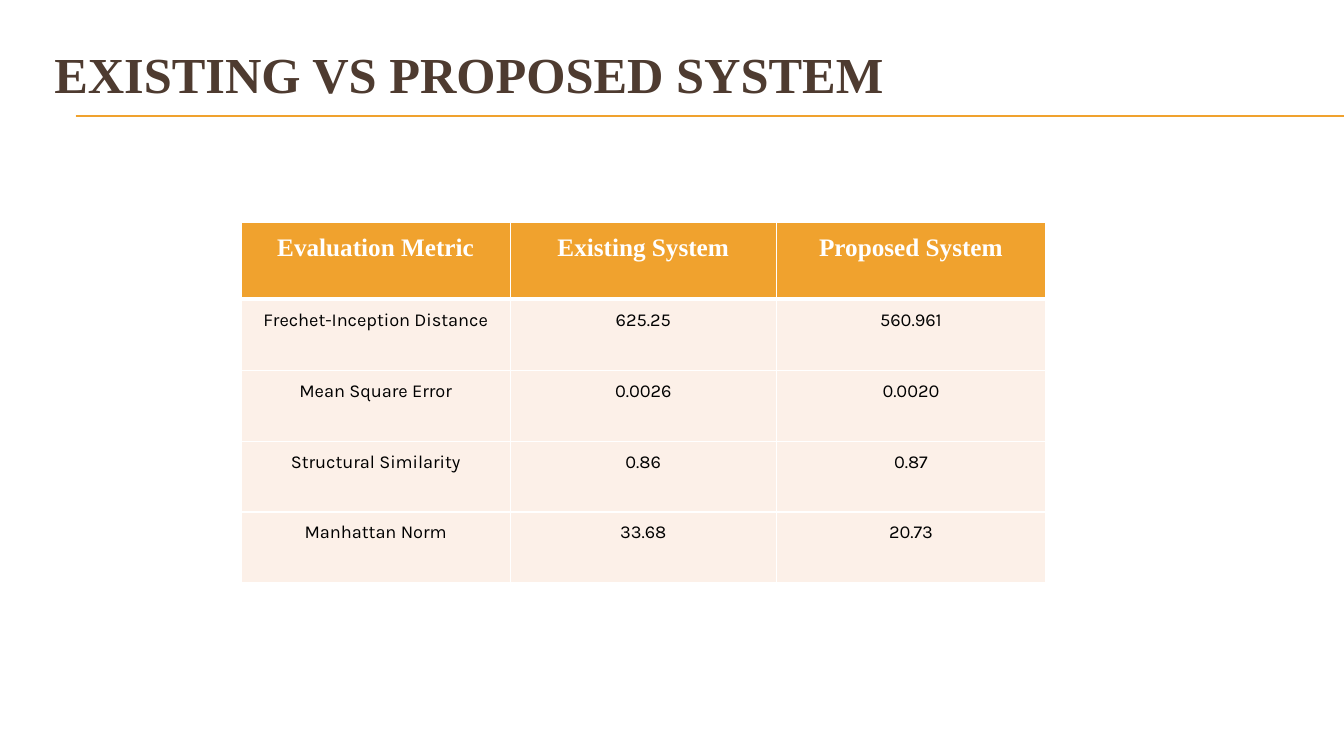
from dataclasses import dataclass

from lxml.etree import SubElement as add_element
from pptx import Presentation
from pptx.dml.color import RGBColor as Color
from pptx.enum.shapes import MSO_CONNECTOR as Connector
from pptx.enum.text import MSO_ANCHOR as Anchor, PP_ALIGN as Align
from pptx.oxml import parse_xml
from pptx.oxml.ns import nsdecls, qn
from pptx.util import Inches, Pt


@dataclass(frozen=True)
class Theme:
    accent: str = "F0A22E"
    title: str = "4E3B30"
    body: str = "000000"
    band: str = "FCF0E8"
    white: str = "FFFFFF"
    heading_font: str = "Times New Roman"
    body_font: str = "Karla"
    title_size: float = 36
    header_size: float = 18
    body_size: float = 13
    rule_width: float = 0.75
    grid_width: float = 1
    header_rule_width: float = 3


def apply_format(target, values):
    for name, value in values.items():
        setattr(target, name, value)


class SlideBuilder:
    def __init__(self, slide, theme):
        self.slide = slide
        self.theme = theme

    def text(self, paragraph, text, size, font, color, bold):
        paragraph.text = text
        run_font = paragraph.runs[0].font
        apply_format(run_font, {"size": Pt(size), "name": font, "bold": bold})
        run_font.color.rgb = Color.from_string(color)

    def rule(self, left, right, top):
        line = self.slide.shapes.add_connector(
            Connector.STRAIGHT, Inches(left), Inches(top), Inches(right), Inches(top)
        )
        line.line.width = Pt(self.theme.rule_width)
        line.line.color.rgb = Color.from_string(self.theme.accent)
        add_element(line._element.spPr, qn("a:effectLst"))

    def title(self, text, left, top, width, height):
        box = self.slide.shapes.add_textbox(
            Inches(left), Inches(top), Inches(width), Inches(height)
        )
        frame = box.text_frame
        apply_format(frame, {"word_wrap": True, "vertical_anchor": Anchor.MIDDLE})
        theme = self.theme
        self.text(frame.paragraphs[0], text, theme.title_size,
                  theme.heading_font, theme.title, True)

    def border(self, cell, widths):
        properties = cell._tc.get_or_add_tcPr()
        for index, (side, width) in enumerate(widths.items()):
            properties.insert(index, parse_xml(
                f'<a:ln{side} {nsdecls("a")} w="{Pt(width)}"><a:solidFill>'
                f'<a:srgbClr val="{self.theme.white}"/></a:solidFill></a:ln{side}>'
            ))

    def cell(self, cell, text, row):
        theme = self.theme
        header = row == 0
        margins = ("margin_left", "margin_right", "margin_top", "margin_bottom")
        apply_format(cell, dict.fromkeys(margins, Inches(0.07)))
        cell.fill.solid()
        cell.fill.fore_color.rgb = Color.from_string(theme.accent if header else theme.band)
        paragraph = cell.text_frame.paragraphs[0]
        apply_format(paragraph, {"alignment": Align.CENTER, "line_spacing": 1.15})
        if header:
            self.text(paragraph, text, theme.header_size, theme.heading_font, theme.white, True)
        else:
            self.text(paragraph, text, theme.body_size, theme.body_font, theme.body, False)
        grid, thick = theme.grid_width, theme.header_rule_width
        self.border(cell, {
            "L": grid,
            "R": grid,
            "T": thick if row == 1 else grid,
            "B": thick if header else grid,
        })

    def table(self, rows, left, top, widths, heights):
        table = self.slide.shapes.add_table(
            len(rows), len(widths), Inches(left), Inches(top),
            Inches(sum(widths)), Inches(sum(heights))
        ).table
        for column, width in zip(table.columns, widths):
            column.width = Inches(width)
        for row, height in zip(table.rows, heights):
            row.height = Inches(height)
        for row_index, texts in enumerate(rows):
            for column_index, text in enumerate(texts):
                self.cell(table.cell(row_index, column_index), text, row_index)


METRICS = [
    ("Evaluation Metric", "Existing System", "Proposed System"),
    ("Frechet-Inception Distance", "625.25", "560.961"),
    ("Mean Square Error", "0.0026", "0.0020"),
    ("Structural Similarity", "0.86", "0.87"),
    ("Manhattan Norm", "33.68", "20.73"),
]


def main():
    presentation = Presentation()
    apply_format(presentation, {"slide_width": Inches(13.33), "slide_height": Inches(7.5)})
    slide = presentation.slides.add_slide(presentation.slide_layouts[6])
    builder = SlideBuilder(slide, Theme())
    for top in (1.15, 1.16):
        builder.rule(0.75, 13.33, top)
    builder.title("EXISTING VS PROPOSED SYSTEM", 0.44, 0.27, 12.67, 0.92)
    builder.table(METRICS, 2.39, 2.21, (2.67, 2.64, 2.67), (0.76, 0.71, 0.7, 0.7, 0.7))
    presentation.save("out.pptx")


if __name__ == "__main__":
    main()
